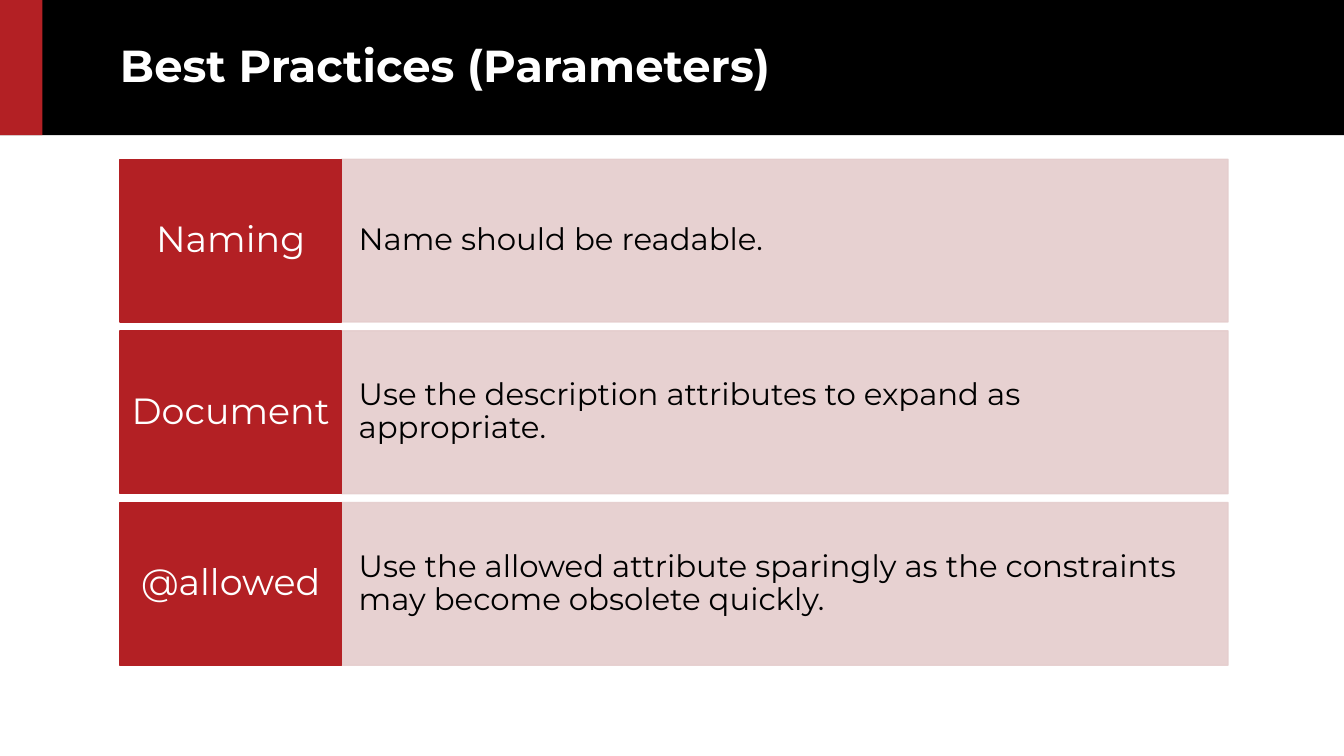
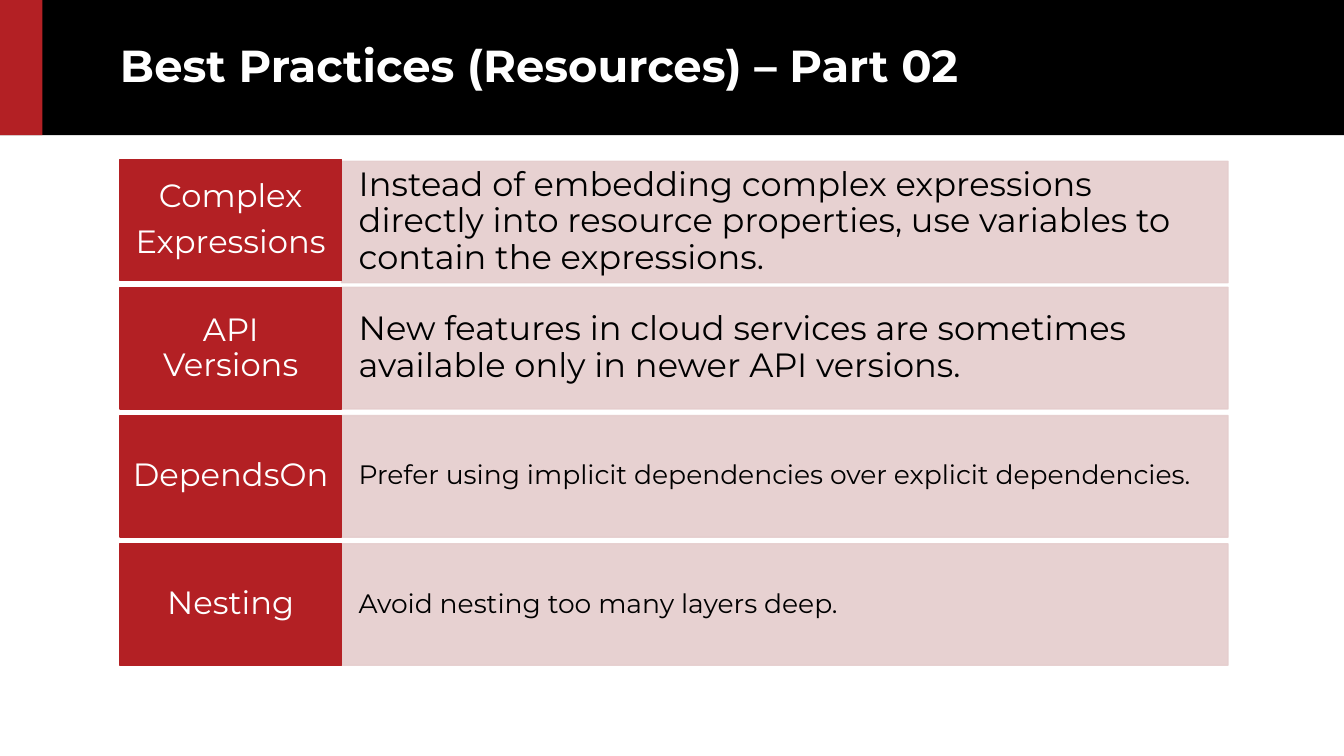
from dataclasses import dataclass

from pptx import Presentation
from pptx.dml.color import RGBColor
from pptx.enum.shapes import MSO_SHAPE
from pptx.enum.text import MSO_ANCHOR, PP_ALIGN
from pptx.oxml.ns import qn
from pptx.util import Inches, Pt
from lxml.etree import SubElement


@dataclass(frozen=True)
class Theme:
    font: str = "Montserrat"
    black: str = "000000"
    white: str = "FFFFFF"
    red: str = "B32024"
    pink: str = "E5CDCD"
    alpha: int = 90
    title: int = 32
    lead: float = 0.9
    after: float = 0.35


@dataclass(frozen=True)
class Grid:
    wide: float = 13.33
    high: float = 7.5
    band: float = 1.34
    tab: float = 0.42
    left: float = 1.19
    width: float = 10.99
    top: float = 1.58
    depth: float = 5.02
    share: float = 0.2
    gap: float = 0.055


THEME = Theme()
GRID = Grid()

# Each row: label paragraphs, label size, text, text size, drop of the text pane
PARAMS = [
    (["Naming"], 26, "Name should be readable.", 22, 0),
    (["Document"], 26,
     "Use the description attributes to expand as appropriate.", 22, 0),
    (["@allowed"], 26,
     "Use the allowed attribute sparingly as the constraints "
     "may become obsolete quickly.", 22, 0),
]
RESOURCES = [
    (["Complex", "Expressions"], 23,
     "Instead of embedding complex expressions directly into resource "
     "properties, use variables to contain the expressions.", 24, 0.02),
    (["API\nVersions"], 23,
     "New features in cloud services are sometimes available only "
     "in newer API versions.", 24, 0),
    (["DependsOn"], 23,
     "Prefer using implicit dependencies over explicit dependencies.", 19, 0),
    (["Nesting"], 23, "Avoid nesting too many layers deep.", 19, 0),
]


def fade(fill):
    """Make a solid fill slightly transparent."""
    for color in fill.iter(qn("a:srgbClr")):
        SubElement(color, qn("a:alpha"), val=str(THEME.alpha * 1000))


def add_box(slide, area, color, line=False, clear=False):
    box = slide.shapes.add_shape(MSO_SHAPE.RECTANGLE, *map(Inches, area))
    box.shadow.inherit = False
    box.fill.solid()
    box.fill.fore_color.rgb = RGBColor.from_string(color)
    if line:
        box.line.color.rgb = RGBColor.from_string(color)
        box.line.width = Pt(1)
    else:
        box.line.fill.background()
    if clear:
        fade(box.fill._xPr)
    return box


def add_text(shape, items, size, color, inset=0, align=PP_ALIGN.LEFT,
             bold=False):
    frame = shape.text_frame
    frame.word_wrap = True
    frame.vertical_anchor = MSO_ANCHOR.MIDDLE
    frame.margin_left = frame.margin_right = Inches(inset)
    frame.margin_top = frame.margin_bottom = 0
    for num, item in enumerate(items):
        para = frame.add_paragraph() if num else frame.paragraphs[0]
        para.alignment = align
        para.line_spacing = THEME.lead
        if num:
            para.space_before = Pt(round(size * THEME.after))
        for part, words in enumerate(item.split("\n")):
            if part:
                para.add_line_break()
            run = para.add_run()
            run.text = words
            run.font.name = THEME.font
            run.font.size = Pt(size)
            run.font.bold = bold
            run.font.color.rgb = RGBColor.from_string(color)


def add_head(slide, title):
    add_box(slide, (0, 0, GRID.wide, GRID.band), THEME.black)
    add_box(slide, (0, 0, GRID.tab, GRID.band), THEME.red)
    area = (GRID.left, 0, GRID.width, GRID.band)
    box = slide.shapes.add_textbox(*map(Inches, area))
    add_text(box, [title], THEME.title, THEME.white, bold=True)


def add_rows(slide, rows):
    """Stack label and text pairs evenly over the body of the slide."""
    count = len(rows)
    high = GRID.depth / (count + (count - 1) * GRID.gap)
    side = GRID.width * GRID.share
    for num, (label, big, text, size, drop) in enumerate(rows):
        top = GRID.top + num * high * (1 + GRID.gap)
        area = (GRID.left + side, top + drop, GRID.width - side, high)
        pane = add_box(slide, area, THEME.pink, line=True, clear=True)
        add_text(pane, [text], size, THEME.black, inset=0.17)
        area = (GRID.left, top, side, high)
        name = add_box(slide, area, THEME.red, line=True)
        add_text(name, label, big, THEME.white, inset=0.1,
                 align=PP_ALIGN.CENTER)


def main():
    deck = Presentation()
    deck.slide_width = Inches(GRID.wide)
    deck.slide_height = Inches(GRID.high)
    for title, rows in (
        ("Best Practices (Parameters)", PARAMS),
        ("Best Practices (Resources) – Part 02", RESOURCES),
    ):
        slide = deck.slides.add_slide(deck.slide_layouts[6])
        add_head(slide, title)
        add_rows(slide, rows)
    deck.save("out.pptx")


if __name__ == "__main__":
    main()
